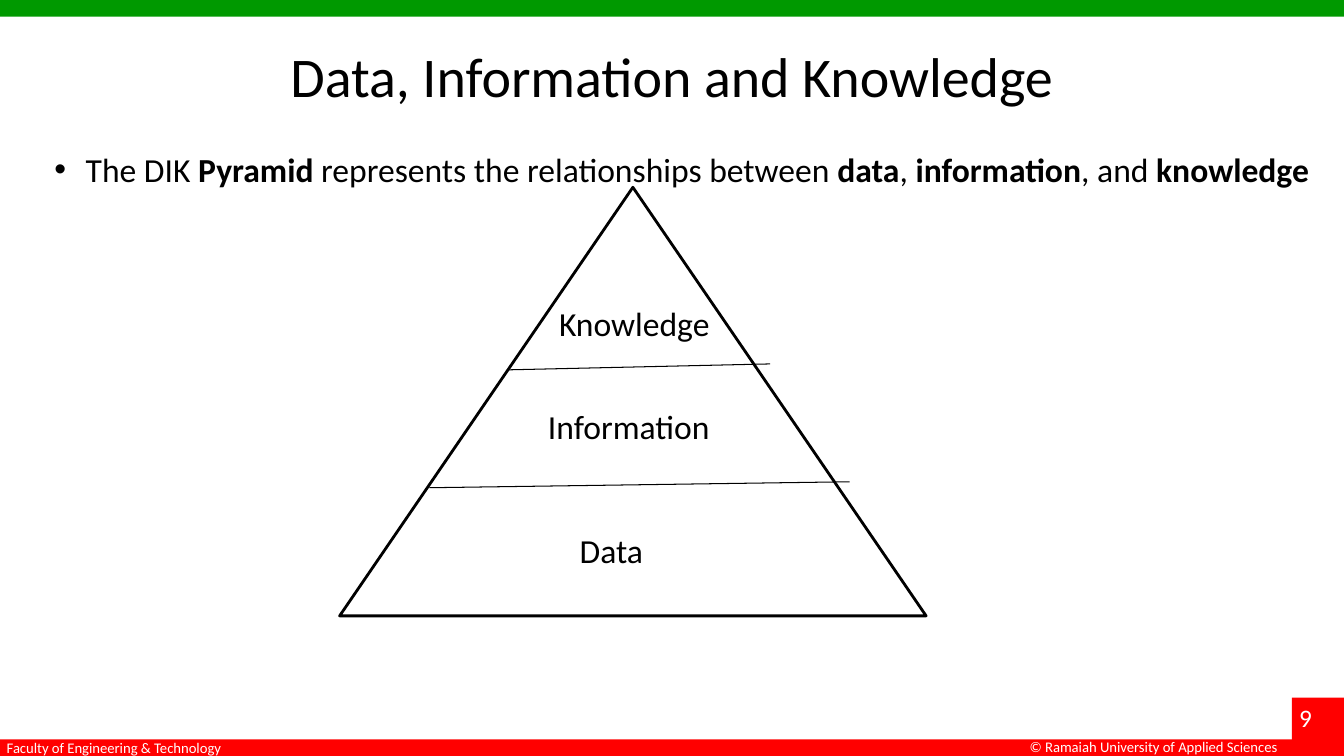
from dataclasses import dataclass

from lxml import etree
from pptx import Presentation
from pptx.dml.color import RGBColor
from pptx.enum.shapes import MSO_CONNECTOR, MSO_SHAPE
from pptx.enum.text import MSO_ANCHOR, PP_ALIGN
from pptx.oxml.ns import qn
from pptx.util import Cm, Pt

STRAIGHT = MSO_CONNECTOR.STRAIGHT
RECTANGLE = MSO_SHAPE.RECTANGLE
TRIANGLE = MSO_SHAPE.ISOSCELES_TRIANGLE
TOP = MSO_ANCHOR.TOP
LEFT, CENTER = PP_ALIGN.LEFT, PP_ALIGN.CENTER


@dataclass(frozen=True)
class Theme:
    font: str = "Calibri"
    black: RGBColor = RGBColor(0, 0, 0)
    white: RGBColor = RGBColor(255, 255, 255)
    green: RGBColor = RGBColor(0, 0x99, 0)
    red: RGBColor = RGBColor(255, 0, 0)
    title_size: float = 40
    body_size: float = 24
    number_size: float = 18
    footer_size: float = 10.5


THEME = Theme()

# Content; every box is (left, top, width, height) in centimetres
WIDTH, HEIGHT = 33.87, 19.05
BAR_HEIGHT = 0.42
TITLE = "Data, Information and Knowledge"
TITLE_BOX = (1.69, 0.91, 30.48, 3.18)
STATEMENT = [
    ("The DIK ", False), ("Pyramid", True),
    (" represents the relationships between ", False), ("data", True),
    (", ", False), ("information", True), (", and ", False),
    ("knowledge", True),
]
STATEMENT_BOX = (1.12, 3.63, 32.33, 1.27)
BULLET_INDENT = 0.79
PYRAMID_BOX = (8.56, 4.72, 14.78, 10.8)
LEVELS = [
    ("Knowledge", (13.84, 7.52, 4.5, 1.27)),
    ("Information", (13.56, 10.11, 4.78, 1.27)),
    ("Data", (14.36, 13.23, 4.5, 1.27)),
]
DIVIDERS = [(12.78, 9.32, 19.41, 9.17), (10.82, 12.29, 21.41, 12.14)]
BARS = [
    ((0, 0, WIDTH, BAR_HEIGHT), THEME.green),
    ((0, HEIGHT - BAR_HEIGHT, WIDTH, BAR_HEIGHT), THEME.red),
    ((32.56, 17.58, WIDTH - 32.56, HEIGHT - 17.58), THEME.red),
]
FOOTERS = [
    ("9", (32.49, 17.58, 1.27, 1.02), THEME.number_size),
    ("Faculty of Engineering & Technology", (-0.08, 18.49, 6.05, 0.71),
     THEME.footer_size),
    ("© Ramaiah University of Applied Sciences", (25.7, 18.47, 6.86, 0.71),
     THEME.footer_size),
]


def lengths(values):
    return [Cm(value) for value in values]


def write_text(shape, runs, size=THEME.body_size, color=THEME.black,
               align=LEFT, bullet=False):
    """Fill a shape with one paragraph; runs is a string or (text, bold) pairs."""
    frame = shape.text_frame
    frame.word_wrap = True
    frame.vertical_anchor = TOP
    paragraph = frame.paragraphs[0]
    paragraph.alignment = align
    if bullet:
        properties = paragraph._p.get_or_add_pPr()
        properties.set("marL", str(Cm(BULLET_INDENT)))
        properties.set("indent", str(-Cm(BULLET_INDENT)))
        etree.SubElement(properties, qn("a:buFont")).set("typeface", "Arial")
        etree.SubElement(properties, qn("a:buChar")).set("char", "•")
    for text, bold in [(runs, False)] if isinstance(runs, str) else runs:
        run = paragraph.add_run()
        run.text = text
        run.font.name = THEME.font
        run.font.size = Pt(size)
        run.font.bold = bold
        run.font.color.rgb = color


def add_text(slide, runs, box, **text_format):
    write_text(slide.shapes.add_textbox(*lengths(box)), runs, **text_format)


def add_bar(slide, box, color):
    bar = slide.shapes.add_shape(RECTANGLE, *lengths(box))
    bar.shadow.inherit = False
    bar.fill.solid()
    bar.fill.fore_color.rgb = color
    bar.line.fill.background()


def add_pyramid(slide):
    pyramid = slide.shapes.add_shape(TRIANGLE, *lengths(PYRAMID_BOX))
    pyramid.shadow.inherit = False
    pyramid.fill.background()
    pyramid.line.color.rgb = THEME.black
    pyramid.line.width = Pt(2)
    for ends in DIVIDERS:
        divider = slide.shapes.add_connector(STRAIGHT, *lengths(ends))
        divider.line.color.rgb = THEME.black
        divider.line.width = Pt(0.75)
        etree.SubElement(divider._element.spPr, qn("a:effectLst"))
    for label, box in LEVELS:
        add_text(slide, label, box)


def main():
    presentation = Presentation()
    presentation.slide_width, presentation.slide_height = lengths((WIDTH, HEIGHT))
    slide = presentation.slides.add_slide(presentation.slide_layouts[5])
    for box, color in BARS:
        add_bar(slide, box, color)
    for text, box, size in FOOTERS:
        add_text(slide, text, box, size=size, color=THEME.white)
    title = slide.shapes.title
    title.left, title.top, title.width, title.height = lengths(TITLE_BOX)
    write_text(title, TITLE, size=THEME.title_size, align=CENTER)
    add_pyramid(slide)
    add_text(slide, STATEMENT, STATEMENT_BOX, bullet=True)
    presentation.save("out.pptx")


if __name__ == "__main__":
    main()
